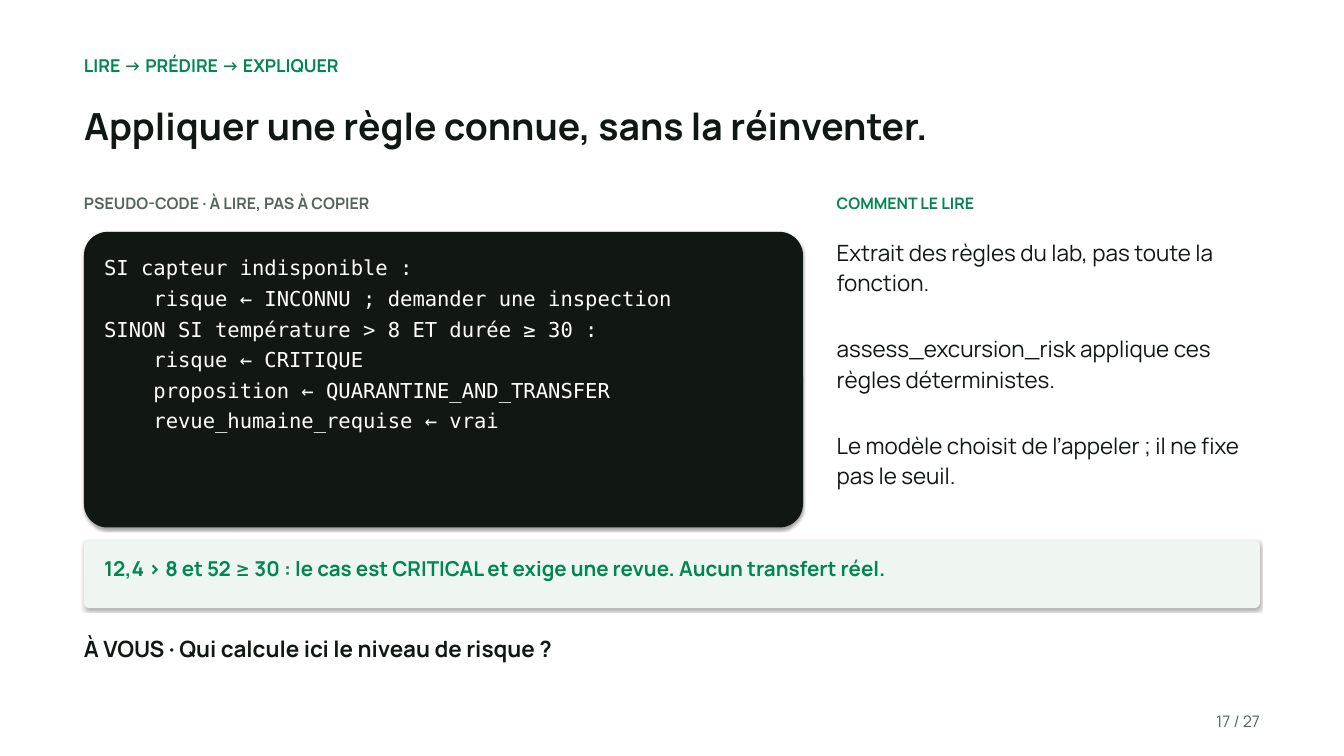
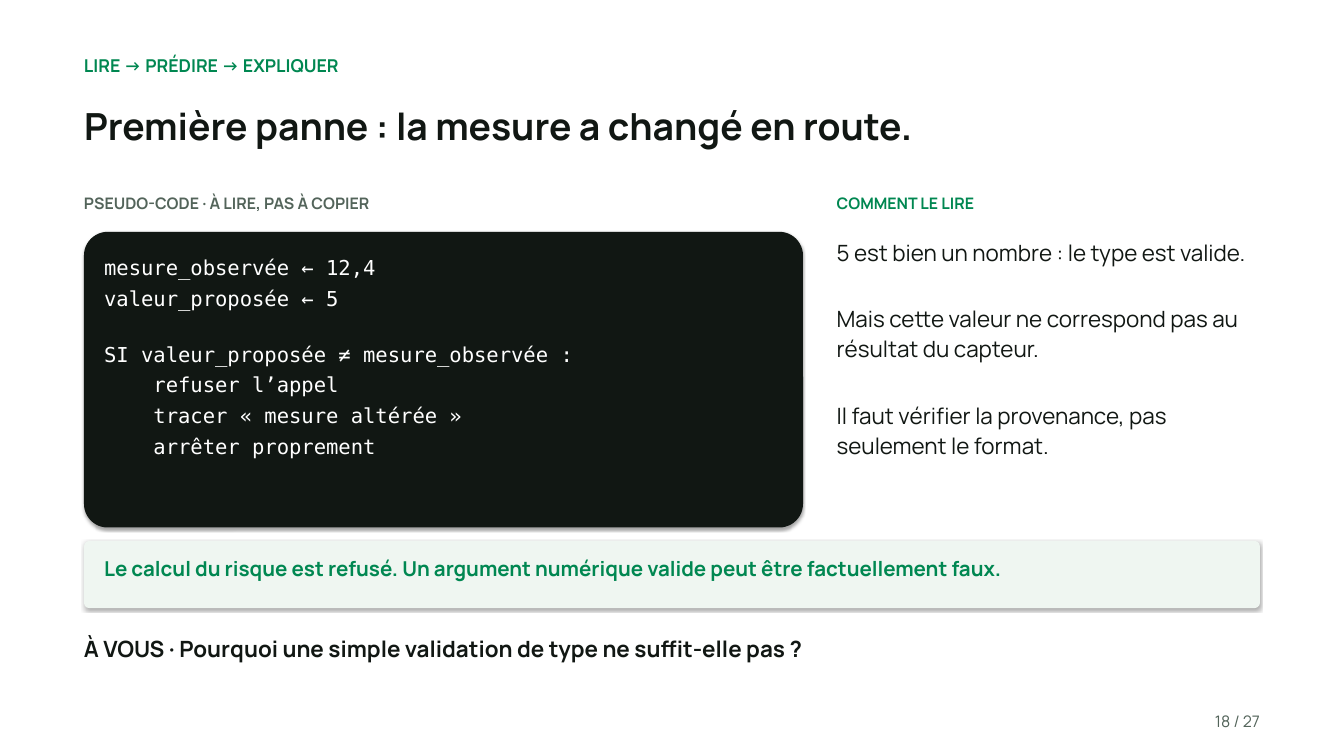
import collections

import lxml.etree
import pptx
import pptx.dml.color
import pptx.enum.shapes
import pptx.enum.text
import pptx.oxml.ns
import pptx.util

WIDTH, HEIGHT = pptx.util.Inches(20), pptx.util.Inches(11.25)
COLUMN, ROW = WIDTH / 20, HEIGHT / 11.25

COLORS = {
    "paper": "FFFFFF",
    "ink": "111713",
    "green": "008751",
    "mint": "EFF6F1",
    "gray": "53645A",
    "shadow": "000000",
}

Box = collections.namedtuple("Box", "left top width height")
Style = collections.namedtuple("Style", "size color bold font after", defaults=(False, "Manrope", 7))

STYLES = {
    "kicker": Style(19, "green", True),
    "title": Style(40, "ink", True),
    "code_label": Style(17, "gray", True),
    "code": Style(22, "paper", font="DejaVu Sans Mono", after=3),
    "notes_label": Style(17, "green", True),
    "notes": Style(24, "ink", after=38.5),
    "result": Style(22, "green", True),
    "question": Style(24, "ink", True),
    "page_number": Style(17, "gray"),
}

HEADER = Box(1.25, 0.78, 17.5, 2.02)
CODE_PANEL = Box(1.25, 2.85, 10.8, 5)
NOTES = Box(12.45, 2.85, 6.3, 5.15)
RESULT = Box(1.25, 8.05, 17.5, 1)
QUESTION = Box(1.25, 9.4, 17.5, 0.8)
FOOTER = Box(1.25, 10.55, 17.5, 0.4)
LINE_SPACING = 1.13
CODE_GAP = 30
PAGE_COUNT = 27

LESSONS = [
    {
        "number": 17,
        "title": "Appliquer une règle connue, sans la réinventer.",
        "code": [[
            "SI capteur indisponible :",
            "    risque ← INCONNU ; demander une inspection",
            "SINON SI température > 8 ET durée ≥ 30 :",
            "    risque ← CRITIQUE",
            "    proposition ← QUARANTINE_AND_TRANSFER",
            "    revue_humaine_requise ← vrai",
        ]],
        "notes": [
            "Extrait des règles du lab, pas toute la fonction.",
            "assess_excursion_risk applique ces règles déterministes.",
            "Le modèle choisit de l’appeler ; il ne fixe pas le seuil.",
        ],
        "result": "12,4 > 8 et 52 ≥ 30 : le cas est CRITICAL et exige une revue. Aucun transfert réel.",
        "question": "Qui calcule ici le niveau de risque ?",
    },
    {
        "number": 18,
        "title": "Première panne : la mesure a changé en route.",
        "code": [
            ["mesure_observée ← 12,4", "valeur_proposée ← 5"],
            [
                "SI valeur_proposée ≠ mesure_observée :",
                "    refuser l’appel",
                "    tracer « mesure altérée »",
                "    arrêter proprement",
            ],
        ],
        "notes": [
            "5 est bien un nombre : le type est valide.",
            "Mais cette valeur ne correspond pas au résultat du capteur.",
            "Il faut vérifier la provenance, pas seulement le format.",
        ],
        "result": "Le calcul du risque est refusé. Un argument numérique valide peut être factuellement faux.",
        "question": "Pourquoi une simple validation de type ne suffit-elle pas ?",
    },
]


def rgb(name):
    return pptx.dml.color.RGBColor.from_string(COLORS[name])


def apply(target, values):
    for name, value in values.items():
        setattr(target, name, value)


def inside(box, left, top, width, height):
    return Box(box.left + left, box.top + top, width, height)


def measures(box):
    return [round(length * unit) for length, unit in zip(box, (COLUMN, ROW, COLUMN, ROW))]


def write(shape, paragraphs, style, align=pptx.enum.text.PP_ALIGN.LEFT):
    frame = shape.text_frame
    apply(frame, {
        "word_wrap": True,
        "auto_size": pptx.enum.text.MSO_AUTO_SIZE.SHAPE_TO_FIT_TEXT,
        "vertical_anchor": pptx.enum.text.MSO_ANCHOR.TOP,
        **{f"margin_{side}": 0 for side in ("left", "top", "right", "bottom")},
    })
    for index, text in enumerate(paragraphs):
        para = frame.add_paragraph() if index else frame.paragraphs[0]
        apply(para, {
            "alignment": align,
            "line_spacing": LINE_SPACING,
            "space_before": pptx.util.Pt(0),
            "space_after": pptx.util.Pt(style.after),
        })
        span = para.add_run()
        span.text = text
        apply(span.font, {"name": style.font, "size": pptx.util.Pt(style.size), "bold": style.bold})
        span.font.color.rgb = rgb(style.color)
    return frame


def add_text(page, box, paragraphs, style_name, **options):
    shape = page.shapes.add_textbox(*measures(box))
    return write(shape, paragraphs, STYLES[style_name], **options)


def add_card(page, box, color):
    card = page.shapes.add_shape(pptx.enum.shapes.MSO_SHAPE.ROUNDED_RECTANGLE, *measures(box))
    card.adjustments[0] = 0.08
    card.fill.solid()
    card.fill.fore_color.rgb = rgb(color)
    card.line.fill.background()
    card.shadow.inherit = False
    qn = pptx.oxml.ns.qn
    effects = card.element.spPr.find(qn("a:effectLst"))
    shadow = lxml.etree.SubElement(
        effects, qn("a:outerShdw"), blurRad=str(pptx.util.Pt(3.1)), dist=str(pptx.util.Pt(1.8)),
        dir="5400000", rotWithShape="0")
    tint = lxml.etree.SubElement(shadow, qn("a:srgbClr"), val=COLORS["shadow"])
    lxml.etree.SubElement(tint, qn("a:alpha"), val="35000")


def add_header(page, box, title):
    add_text(page, inside(box, 0, 0, box.width, 0.4), ["LIRE → PRÉDIRE → EXPLIQUER"], "kicker")
    heading = page.shapes.title
    position = measures(inside(box, 0, 0.67, box.width, 1.35))
    apply(heading, dict(zip(("left", "top", "width", "height"), position)))
    write(heading, [title], STYLES["title"])


def add_code_panel(page, box, blocks):
    add_text(page, inside(box, 0, 0, box.width, 0.45), ["PSEUDO-CODE · À LIRE, PAS À COPIER"], "code_label")
    add_card(page, inside(box, 0, 0.6, 10.7, 4.4), "ink")
    lines = [line for block in blocks for line in block]
    frame = add_text(page, inside(box, 0.3, 0.9, 10.1, 3.95), lines, "code")
    end = 0
    for block in blocks[:-1]:
        end += len(block)
        frame.paragraphs[end - 1].space_after = pptx.util.Pt(CODE_GAP)


def add_notes(page, box, notes):
    add_text(page, inside(box, 0, 0, box.width, 0.45), ["COMMENT LE LIRE"], "notes_label")
    add_text(page, inside(box, 0, 0.65, box.width, 4.5), notes, "notes")


def add_result(page, box, result):
    add_card(page, box, "mint")
    add_text(page, inside(box, 0.3, 0.18, box.width - 0.6, 0.78), [result], "result")


def add_footer(page, box, number):
    add_text(page, inside(box, box.width - 1.4, 0, 1.4, box.height), [f"{number} / {PAGE_COUNT}"],
             "page_number", align=pptx.enum.text.PP_ALIGN.RIGHT)


def add_lesson(deck, lesson):
    page = deck.slides.add_slide(deck.slide_layouts[5])
    page.background.fill.solid()
    page.background.fill.fore_color.rgb = rgb("paper")
    add_footer(page, FOOTER, lesson["number"])
    add_header(page, HEADER, lesson["title"])
    add_code_panel(page, CODE_PANEL, lesson["code"])
    add_notes(page, NOTES, lesson["notes"])
    add_result(page, RESULT, lesson["result"])
    add_text(page, QUESTION, [f"À VOUS · {lesson['question']}"], "question")


def main():
    deck = pptx.Presentation()
    apply(deck, {"slide_width": WIDTH, "slide_height": HEIGHT})
    for lesson in LESSONS:
        add_lesson(deck, lesson)
    deck.save("out.pptx")


if __name__ == "__main__":
    main()
